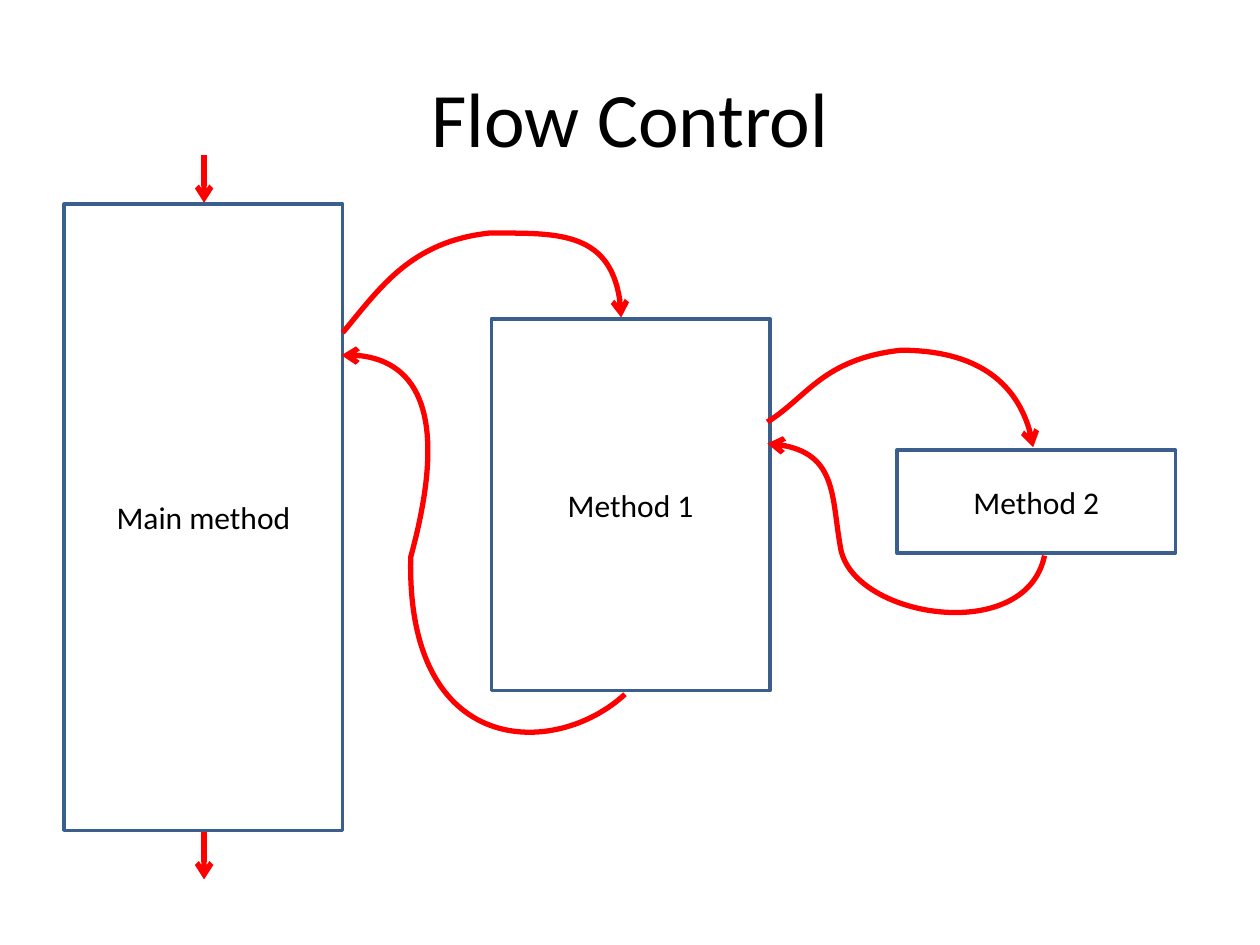
from lxml import etree
from pptx import Presentation
from pptx.dml.color import RGBColor
from pptx.enum.shapes import MSO_CONNECTOR, MSO_SHAPE
from pptx.enum.text import MSO_ANCHOR, PP_ALIGN
from pptx.oxml.ns import qn
from pptx.util import Inches, Pt

PROCESS = MSO_SHAPE.FLOWCHART_PROCESS
STRAIGHT = MSO_CONNECTOR.STRAIGHT
MIDDLE = MSO_ANCHOR.MIDDLE
CENTER = PP_ALIGN.CENTER
TITLE_ONLY = 5
FONT = "Calibri"
COLORS = {"text": "000000", "border": "3A5F8C", "flow": "FF0000"}
BOX_WIDTH = 2.21
CURVE_STEPS = 40

# Text, left, top, height
METHODS = [
    ("Main method", 0.51, 1.62, 4.97),
    ("Method 1", 3.9, 2.53, 2.95),
    ("Method 2", 7.12, 3.57, 0.82),
]

# Top of the arrows into and out of the main method
STRAIGHT_ARROW_TOPS = [1.23, 6.6]

# Start point, then Bezier segments of two control points and an end point
CALLS_AND_RETURNS = [
    ((4.96, 5.51), [((4.41, 6.02), (3.22, 6.02), (3.26, 4.42)),
                    ((3.57, 3.29), (3.27, 2.78), (2.71, 2.82))]),
    ((2.72, 2.64), [((3.02, 2.28), (3.26, 1.92), (3.88, 1.85)),
                    ((4.4, 1.85), (4.91, 1.82), (4.93, 2.52))]),
    ((6.09, 3.35), [((6.41, 3.15), (6.53, 2.85), (7.15, 2.78)),
                    ((7.67, 2.78), (8.12, 3.01), (8.2, 3.55))]),
    ((8.29, 4.41), [((8.14, 5.13), (6.75, 4.9), (6.67, 4.34)),
                    ((6.6, 3.95), (6.65, 3.55), (6.09, 3.52))]),
]


def color(name):
    return RGBColor.from_string(COLORS[name])


def set_text(shape, text, size):
    frame = shape.text_frame
    frame.text = text
    frame.word_wrap = True
    frame.vertical_anchor = MIDDLE
    paragraph = frame.paragraphs[0]
    paragraph.alignment = CENTER
    font = paragraph.runs[0].font
    font.name, font.size = FONT, Pt(size)
    font.color.rgb = color("text")


def style_line(line, name, width):
    line.color.rgb = color(name)
    line.width = Pt(width)


def add_arrowhead(line_properties):
    etree.SubElement(line_properties, qn("a:tailEnd"), type="arrow")


def add_title(slide, text):
    title = slide.shapes.title
    title.left, title.top = Inches(0.5), Inches(0.3)
    title.width, title.height = Inches(9), Inches(1.25)
    set_text(title, text, 44)


def add_method(shapes, text, left, top, height):
    box = shapes.add_shape(PROCESS, Inches(left), Inches(top),
                           Inches(BOX_WIDTH), Inches(height))
    box.shadow.inherit = False
    box.fill.background()
    style_line(box.line, "border", 2)
    set_text(box, text, 18)


def add_straight_arrow(shapes, top):
    x = Inches(1.62)
    arrow = shapes.add_connector(STRAIGHT, x, Inches(top), x, Inches(top + 0.38))
    style_line(arrow.line, "flow", 3)
    add_arrowhead(arrow.line._get_or_add_ln())
    etree.SubElement(arrow._element.spPr, qn("a:effectLst"))


def bezier_point(points, t):
    weights = ((1 - t) ** 3, 3 * t * (1 - t) ** 2, 3 * t * t * (1 - t), t ** 3)
    return tuple(Inches(sum(weight * point[axis] for weight, point
                            in zip(weights, points))) for axis in (0, 1))


def add_curved_arrow(shapes, start, segments):
    # Points along the curve give the shape its exact bounds
    outline = []
    previous = start
    for segment in segments:
        outline += [bezier_point((previous, *segment), step / CURVE_STEPS)
                    for step in range(1, CURVE_STEPS + 1)]
        previous = segment[-1]
    builder = shapes.build_freeform(Inches(start[0]), Inches(start[1]), scale=1.0)
    builder.add_line_segments(outline, close=False)
    curve = builder.convert_to_shape()

    # Replace the straight pieces with real Bezier segments
    geometry = next(curve._element.iter(qn("a:path")))
    for piece in geometry.findall(qn("a:lnTo")):
        geometry.remove(piece)
    for segment in segments:
        bezier = etree.SubElement(geometry, qn("a:cubicBezTo"))
        for x, y in segment:
            etree.SubElement(bezier, qn("a:pt"), x=str(Inches(x) - curve.left),
                             y=str(Inches(y) - curve.top))

    curve.shadow.inherit = False
    curve.fill.background()
    style_line(curve.line, "flow", 3)
    add_arrowhead(curve.line._get_or_add_ln())


def main():
    presentation = Presentation()
    presentation.slide_width, presentation.slide_height = Inches(10), Inches(7.5)
    slide = presentation.slides.add_slide(presentation.slide_layouts[TITLE_ONLY])
    add_title(slide, "Flow Control")

    # Flow diagram
    diagram = slide.shapes.add_group_shape().shapes
    for method in METHODS:
        add_method(diagram, *method)
    for top in STRAIGHT_ARROW_TOPS:
        add_straight_arrow(diagram, top)
    for start, segments in CALLS_AND_RETURNS:
        add_curved_arrow(diagram, start, segments)

    presentation.save("out.pptx")


main()
